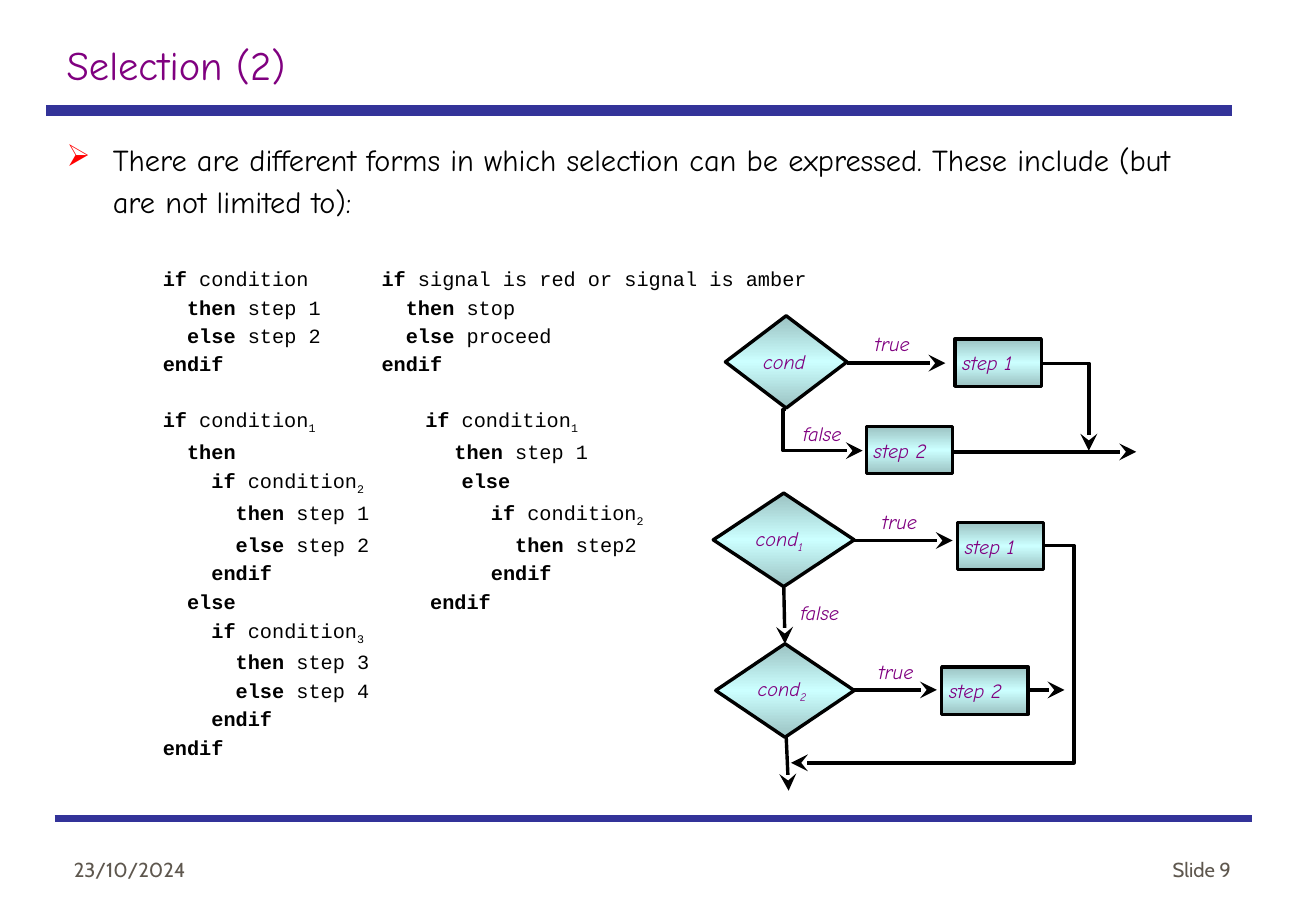
from copy import deepcopy

from lxml.etree import SubElement
from pptx import Presentation
from pptx.dml.color import RGBColor
from pptx.enum.shapes import MSO_CONNECTOR, MSO_SHAPE
from pptx.enum.text import MSO_ANCHOR, PP_ALIGN
from pptx.oxml.ns import qn
from pptx.util import Pt

PX = 9144
NAVY = RGBColor(0x33, 0x33, 0x99)
PLUM = RGBColor(0x80, 0x00, 0x80)
BLACK = RGBColor(0x00, 0x00, 0x00)
GREY = RGBColor(0x5E, 0x57, 0x4E)
TEAL = RGBColor(0x9B, 0xC2, 0xC2)
CYAN = RGBColor(0xCC, 0xFF, 0xFF)

TITLE = {"name": "Comic Neue", "size": Pt(24)}
BODY = {"name": "Comic Neue", "size": Pt(18)}
CODE = {"name": "Courier New", "size": Pt(12)}
LABEL = {"name": "Comic Neue", "size": Pt(12), "italic": True}
FOOT = {"name": "Cabin", "size": Pt(12)}

INTRO = ("There are different forms in which selection can be expressed. "
         "These include (but are not limited to):")
BLOCKS = [
    [("if condition", "if signal is red or signal is amber", 180),
     ("  then step 1", "then stop", 200),
     ("  else step 2", "else proceed", 200),
     ("endif", "endif", 180)],
    [("if condition_1", "if condition_1", 216),
     ("  then", "then step 1", 240),
     ("    if condition_2", "else", 246),
     ("      then step 1", "if condition_2", 270),
     ("      else step 2", "then step2", 290),
     ("    endif", "endif", 270),
     ("  else", "endif", 220),
     ("    if condition_3", "", 0),
     ("      then step 3", "", 0),
     ("      else step 4", "", 0),
     ("    endif", "", 0),
     ("endif", "", 0)],
]

SINGLE = {
    "tests": [(0, 0, 100, 76, "cond")],
    "steps": [(189, 19, "step 1"), (116, 91, "step 2")],
    "tags": [(113, 8, 54, "true"), (54, 82, 59, "false")],
    "lines": [(100, 39, 181, 39), (187, 112, 338, 112)],
    "bends": [(50, 77, 113, 111, -4100)],
    "turns": [(260, 39, 299, 111)],
}
NESTED = {
    "tests": [(0, 0, 116, 77, "cond_1"), (2, 124, 114, 77, "cond_2")],
    "steps": [(201, 24, "step 1"), (188, 143, "step 2")],
    "tags": [(129, 8, 54, "true"), (62, 83, 60, "false"), (126, 132, 54, "true")],
    "lines": [(116, 39, 197, 39), (58, 77, 59, 124), (60, 200, 62, 245),
              (114, 162, 184, 162), (258, 162, 289, 162)],
    "bends": [(272, 43, 64, 222, -12000)],
    "turns": [],
}


def write(para, text, look, color, **more):
    """Add text in one look, with the part after an underscore lowered."""
    main, _, low = text.partition("_")
    for part, base in ((main, None), (low, "-25000")):
        if part:
            run = para.add_run()
            run.text = part
            for key, val in {**look, **more}.items():
                setattr(run.font, key, val)
            run.font.color.rgb = color
            if base:
                run.font._element.set("baseline", base)


def panel(slide, box, wrap=True, anchor=MSO_ANCHOR.TOP):
    """Add a text box and return its frame."""
    frame = slide.shapes.add_textbox(*(n * PX for n in box)).text_frame
    frame.word_wrap = wrap
    frame.vertical_anchor = anchor
    return frame


def link(slide, ends, color, width, kind=MSO_CONNECTOR.STRAIGHT, tip=False):
    """Draw a connector, with an arrowhead at its end if asked."""
    line = slide.shapes.add_connector(kind, *(n * PX for n in ends))
    line.line.color.rgb = color
    line.line.width = Pt(width)
    spot = line._element.spPr
    if tip:
        SubElement(spot.find(qn("a:ln")), qn("a:tailEnd"),
                   type="stealth", w="lg", len="lg")
    SubElement(spot, qn("a:effectLst"))
    return spot.find(qn("a:prstGeom"))


def head(slide, box):
    """Place the title and the rule below it."""
    x, y, w, h = box
    write(panel(slide, (x + 7, y, w, 50)).paragraphs[0], "Selection (2)", TITLE, PLUM)
    link(slide, (x, y + h, x + w, y + h), NAVY, 6)


def intro(slide, box):
    """Place the bulleted opening sentence."""
    para = panel(slide, box).paragraphs[0]
    para.line_spacing = 1.15
    props = para._p.get_or_add_pPr()
    props.set("marL", str(38 * PX))
    props.set("indent", str(-38 * PX))
    SubElement(SubElement(props, qn("a:buClr")), qn("a:srgbClr"), val="FF0000")
    SubElement(props, qn("a:buChar"), char="➢")
    write(para, INTRO, BODY, BLACK)


def phrase(para, text):
    """Write a code phrase whose first word is a bold keyword."""
    pad = len(text) - len(text.lstrip())
    word, gap, rest = text[pad:].partition(" ")
    write(para, text[:pad] + word, CODE, BLACK, bold=True)
    write(para, gap + rest, CODE, BLACK)


def code(slide, box):
    """Place the code blocks, two columns to a line."""
    frame = panel(slide, box)
    for side in ("left", "top", "right", "bottom"):
        setattr(frame, "margin_" + side, 0)
    para = frame.paragraphs[0]
    for num, block in enumerate(BLOCKS):
        for row, (left, right, stop) in enumerate(block):
            if num or row:
                para = frame.add_paragraph()
            para.line_spacing = 1.17
            if num and not row:
                para.space_before = Pt(16)
            if right:
                tabs = SubElement(para._p.get_or_add_pPr(), qn("a:tabLst"))
                SubElement(tabs, qn("a:tab"), pos=str(stop * PX), algn="l")
            phrase(para, left)
            if right:
                write(para, "\t", CODE, BLACK)
                phrase(para, right)


def node(slide, kind, box, text):
    """Draw one shaded flow chart node."""
    shape = slide.shapes.add_shape(kind, *(n * PX for n in box))
    shape.shadow.inherit = False
    shape.line.color.rgb = BLACK
    shape.line.width = Pt(2)
    shape.fill.gradient()
    shape.fill.gradient_angle = 90
    stops = shape._element.spPr.find(".//" + qn("a:gsLst"))
    stops.insert(1, deepcopy(stops[0]))
    for stop, place, color in zip(shape.fill.gradient_stops, (0, 0.5, 1),
                                  (TEAL, CYAN, TEAL)):
        stop.position = place
        stop.color.rgb = color
    frame = shape.text_frame
    form = {"margin_left": 6 * PX, "margin_right": 6 * PX, "margin_top": 9 * PX,
            "margin_bottom": 9 * PX, "word_wrap": True,
            "vertical_anchor": MSO_ANCHOR.MIDDLE}
    for key, val in form.items():
        setattr(frame, key, val)
    frame.paragraphs[0].alignment = PP_ALIGN.LEFT
    write(frame.paragraphs[0], text, LABEL, PLUM)


def flow(slide, box, plan):
    """Draw a flow chart from its plan."""
    x, y = box[:2]
    for a, b, w, h, text in plan["tests"]:
        node(slide, MSO_SHAPE.FLOWCHART_DECISION, (x + a, y + b, w, h), text)
    for a, b, text in plan["steps"]:
        node(slide, MSO_SHAPE.RECTANGLE, (x + a, y + b, 71, 39), text)
    for a, b, w, text in plan["tags"]:
        frame = panel(slide, (x + a, y + b, w, 30), wrap=False)
        write(frame.paragraphs[0], text, LABEL, PLUM)
    for a, b, c, d in plan["lines"]:
        link(slide, (x + a, y + b, x + c, y + d), BLACK, 2, tip=True)
    for a, b, c, d, bend in plan["bends"]:
        geom = link(slide, (x + a, y + b, x + c, y + d), BLACK, 2,
                    MSO_CONNECTOR.ELBOW, True)
        SubElement(geom.find(qn("a:avLst")), qn("a:gd"),
                   name="adj1", fmla=f"val {bend}")
    for a, b, c, d in plan["turns"]:
        geom = link(slide, (x + a, y + b, x + c, y + d), BLACK, 2,
                    MSO_CONNECTOR.ELBOW, True)
        geom.set("prst", "bentConnector2")


def foot(slide, box):
    """Place the lower rule, the date and the slide number."""
    x, y, w, h = box
    link(slide, (x, y, x + w, y), NAVY, 4.5)
    for left, text, side in ((x + 6, "23/10/2024", PP_ALIGN.LEFT),
                             (x + w - 233, "Slide 9", PP_ALIGN.RIGHT)):
        frame = panel(slide, (left, y + h - 50, 226, 50), anchor=MSO_ANCHOR.BOTTOM)
        frame.paragraphs[0].alignment = side
        write(frame.paragraphs[0], text, FOOT, GREY)


def main():
    """Build the slide and save it."""
    deck = Presentation()
    deck.slide_width, deck.slide_height = 1083 * PX, 750 * PX
    slide = deck.slides.add_slide(deck.slide_layouts[6])
    head(slide, (38, 28, 976, 63))
    intro(slide, (45, 107, 969, 80))
    code(slide, (134, 216, 560, 390))
    flow(slide, (597, 260, 338, 130), SINGLE)
    flow(slide, (587, 406, 300, 245), NESTED)
    foot(slide, (45, 674, 985, 57))
    deck.save("out.pptx")


if __name__ == "__main__":
    main()
